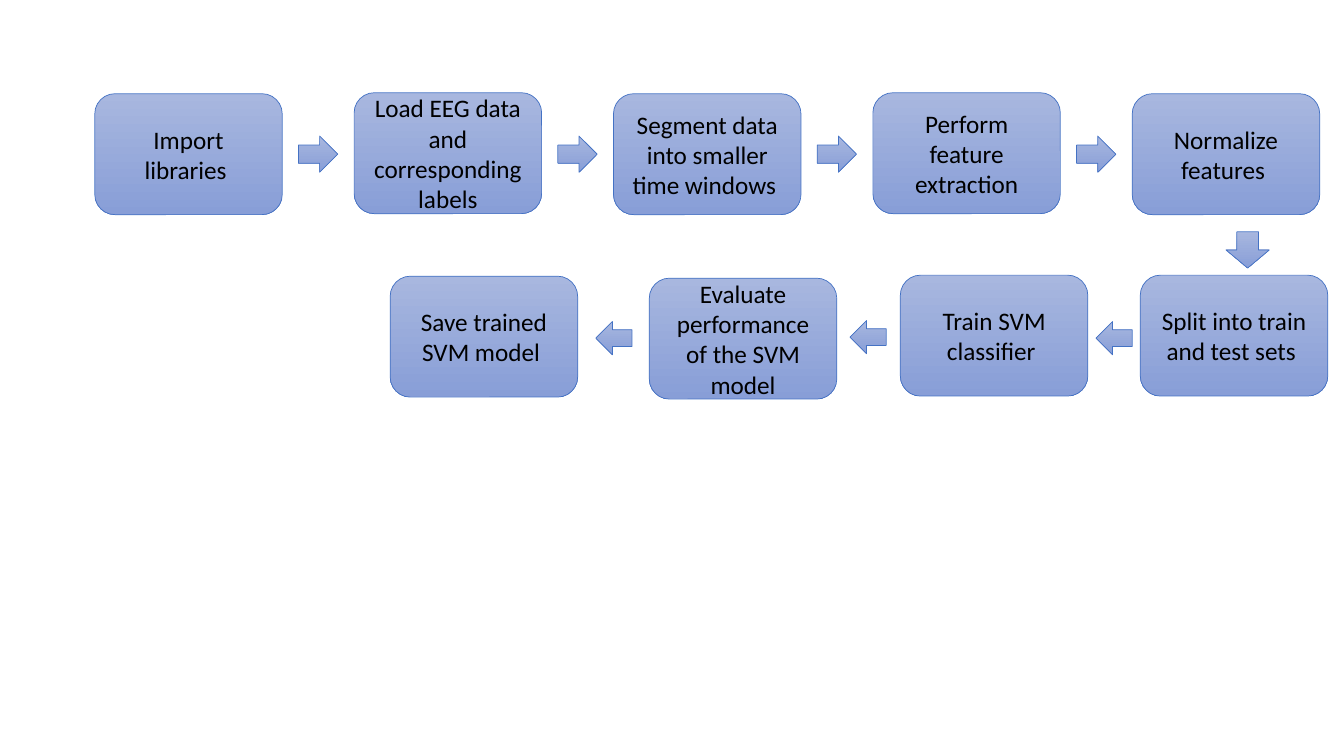
from pptx import Presentation
from pptx.dml.color import RGBColor
from pptx.enum.shapes import MSO_SHAPE
from pptx.enum.text import MSO_ANCHOR, PP_ALIGN
from pptx.util import Inches, Pt


def color(hex_code):
    return RGBColor.from_string(hex_code)


def add_block(kind, left, top, width, height):
    block = slide.shapes.add_shape(
        kind, Inches(left), Inches(top), Inches(width), Inches(height))
    block.shadow.inherit = False
    block.fill.gradient()
    block.fill.gradient_angle = 270
    for stop, shade in zip(block.fill.gradient_stops, ("A8B7DF", "889ED7")):
        stop.color.rgb = color(shade)
    block.line.color.rgb = color("4472C4")
    block.line.width = Pt(0.5)
    return block


prs = Presentation()
prs.slide_width, prs.slide_height = Inches(13.33), Inches(7.5)
slide = prs.slides.add_slide(prs.slide_layouts[6])

STEP_WIDTH, STEP_HEIGHT = 1.86, 1.2
FIRST_LEFT, LAST_LEFT = 0.94, 11.23
STEP_FONT = {"name": "Calibri", "size": Pt(18)}

preparation = [
    ("Import libraries ", 0.93),
    ("Load EEG data and corresponding labels", 0.92),
    ("Segment data into smaller time windows ", 0.93),
    ("Perform feature extraction", 0.92),
    ("Normalize features ", 0.93),
]
modelling = [
    ("Split into train and test sets ", 11.31, 2.73),
    ("Train SVM classifier ", 8.93, 2.73),
    ("Evaluate performance of the SVM model", 6.44, 2.76),
    ("Save trained SVM model ", 3.87, 2.74),
]

pitch = (LAST_LEFT - FIRST_LEFT) / (len(preparation) - 1)
steps = [(label, FIRST_LEFT + index * pitch, top)
         for index, (label, top) in enumerate(preparation)] + modelling

for label, left, top in steps:
    step = add_block(MSO_SHAPE.ROUNDED_RECTANGLE, left, top, STEP_WIDTH, STEP_HEIGHT)
    frame = step.text_frame
    frame.word_wrap = True
    frame.vertical_anchor = MSO_ANCHOR.MIDDLE
    paragraph = frame.paragraphs[0]
    paragraph.alignment = PP_ALIGN.CENTER
    run = paragraph.add_run()
    run.text = label
    for attribute, value in STEP_FONT.items():
        setattr(run.font, attribute, value)
    run.font.color.rgb = color("000000")

for index in range(len(preparation) - 1):
    add_block(MSO_SHAPE.RIGHT_ARROW, 2.96 + index * pitch, 1.35, 0.39, 0.36)

add_block(MSO_SHAPE.DOWN_ARROW, 12.16, 2.3, 0.43, 0.36)

for left, top in [(10.87, 3.19), (8.43, 3.18), (5.91, 3.19)]:
    add_block(MSO_SHAPE.LEFT_ARROW, left, top, 0.36, 0.33)

prs.save("out.pptx")
